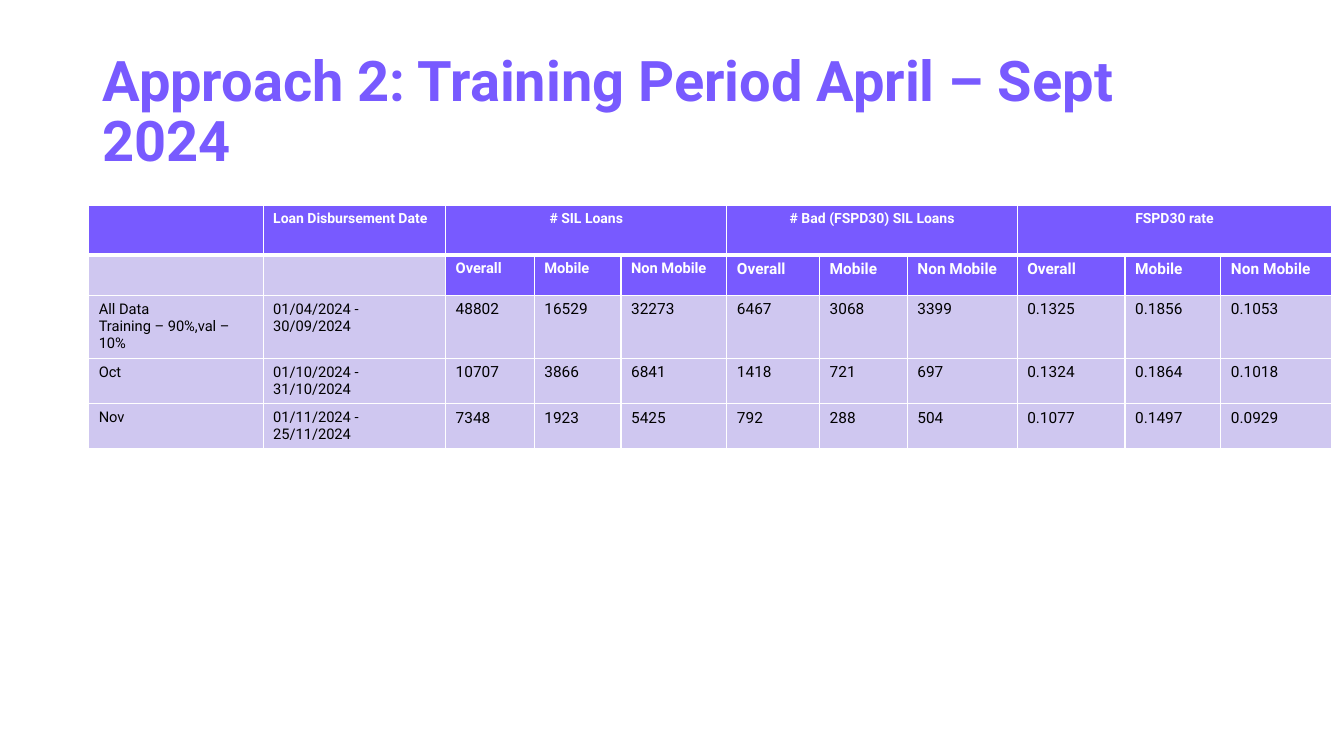
from lxml.etree import SubElement
from pptx import Presentation
from pptx.dml.color import RGBColor
from pptx.enum.text import MSO_ANCHOR, PP_ALIGN
from pptx.oxml.ns import qn
from pptx.util import Inches, Pt

COLORS = {"violet": "785AFF", "lilac": "C3B9ED", "white": "FFFFFF", "black": "000000"}
FONT = "Roboto"
COLS = [1.73, 1.81, 0.88, 0.86, 1.05, 0.92, 0.87, 1.09, 1.07, 0.95, 1.1]
ROWS = [0.49, 0.39, 0.38, 0.38, 0.38]
GROUPS = ["# SIL Loans", "# Bad (FSPD30) SIL Loans", "FSPD30 rate"]
SPLIT = ["Overall", "Mobile", "Non Mobile"]
DATA = [
    ["All Data\nTraining – 90%,val – 10%", "01/04/2024 - 30/09/2024", "48802", "16529", "32273",
     "6467", "3068", "3399", "0.1325", "0.1856", "0.1053"],
    ["Oct", "01/10/2024 - 31/10/2024", "10707", "3866", "6841",
     "1418", "721", "697", "0.1324", "0.1864", "0.1018"],
    ["Nov", "01/11/2024 - 25/11/2024", "7348", "1923", "5425",
     "792", "288", "504", "0.1077", "0.1497", "0.0929"],
]


def write(tf, text, size=11, color="black", bold=False, align=None, spacing=None):
    """Fill a text frame with evenly formatted paragraphs."""
    tf.text = text
    tf.word_wrap = True
    for p in tf.paragraphs:
        p.alignment = align
        p.line_spacing = spacing
        for r in p.runs:
            r.font.name = FONT
            r.font.size = Pt(size)
            r.font.bold = bold
            r.font.color.rgb = RGBColor.from_string(COLORS[color])


def add_borders(cell, top=1, bottom=1):
    """Draw white borders around a cell."""
    tcPr = cell._tc.get_or_add_tcPr()
    for side, width in (("L", 1), ("R", 1), ("T", top), ("B", bottom)):
        ln = SubElement(tcPr, qn(f"a:ln{side}"), w=str(Pt(width)))
        fill = SubElement(ln, qn("a:solidFill"))
        SubElement(fill, qn("a:srgbClr"), val=COLORS["white"])


def paint(cell, color, opacity=100):
    """Give a cell a solid fill with the stated opacity in percent."""
    cell.fill.solid()
    cell.fill.fore_color.rgb = RGBColor.from_string(COLORS[color])
    if opacity < 100:
        clr = cell._tc.tcPr.find(qn("a:solidFill"))[0]
        SubElement(clr, qn("a:alpha"), val=str(opacity * 1000))


def add_title(s, text):
    """Add the slide title."""
    sp = s.shapes.add_textbox(Inches(0.92), Inches(0.4), Inches(11.5), Inches(1.45))
    sp.text_frame.vertical_anchor = MSO_ANCHOR.MIDDLE
    write(sp.text_frame, text, size=40, color="violet", bold=True, spacing=0.9)


def add_grid(s):
    """Add the table with its column widths, row heights, fills and borders."""
    frame = s.shapes.add_table(len(ROWS), len(COLS), Inches(0.88), Inches(2.04),
                               Inches(sum(COLS)), Inches(sum(ROWS)))
    table = frame.table
    for col, width in zip(table.columns, COLS):
        col.width = Inches(width)
    for row, height in zip(table.rows, ROWS):
        row.height = Inches(height)
    for i in range(len(ROWS)):
        for j in range(len(COLS)):
            cell = table.cell(i, j)
            add_borders(cell, top=3 if i == 1 else 1, bottom=3 if i == 0 else 1)
            if i == 0 or (i == 1 and j > 1):
                paint(cell, "violet")
            else:
                paint(cell, "lilac", opacity=79)
    return table


def fill_headers(table):
    """Write the group headings and the headings below them."""
    head = {"color": "white", "bold": True}
    write(table.cell(0, 1).text_frame, "Loan Disbursement Date", size=10, **head)
    for g, group in enumerate(GROUPS):
        left = 2 + g * len(SPLIT)
        cell = table.cell(0, left)
        cell.merge(table.cell(0, left + len(SPLIT) - 1))
        write(cell.text_frame, group, size=10, align=PP_ALIGN.CENTER, **head)
        for k, label in enumerate(SPLIT):
            size = 10.5 if g == 0 else 11
            write(table.cell(1, left + k).text_frame, label, size=size, **head)


def fill_data(table):
    """Write the period rows."""
    for i, values in enumerate(DATA, start=2):
        for j, value in enumerate(values):
            write(table.cell(i, j).text_frame, value, size=10.5 if j < 2 else 11)


def main():
    """Build and save the slide."""
    prs = Presentation()
    prs.slide_width, prs.slide_height = Inches(13.33), Inches(7.5)
    s = prs.slides.add_slide(prs.slide_layouts[6])
    add_title(s, "Approach 2: Training Period April – Sept 2024")
    table = add_grid(s)
    fill_headers(table)
    fill_data(table)
    prs.save("out.pptx")


if __name__ == "__main__":
    main()
